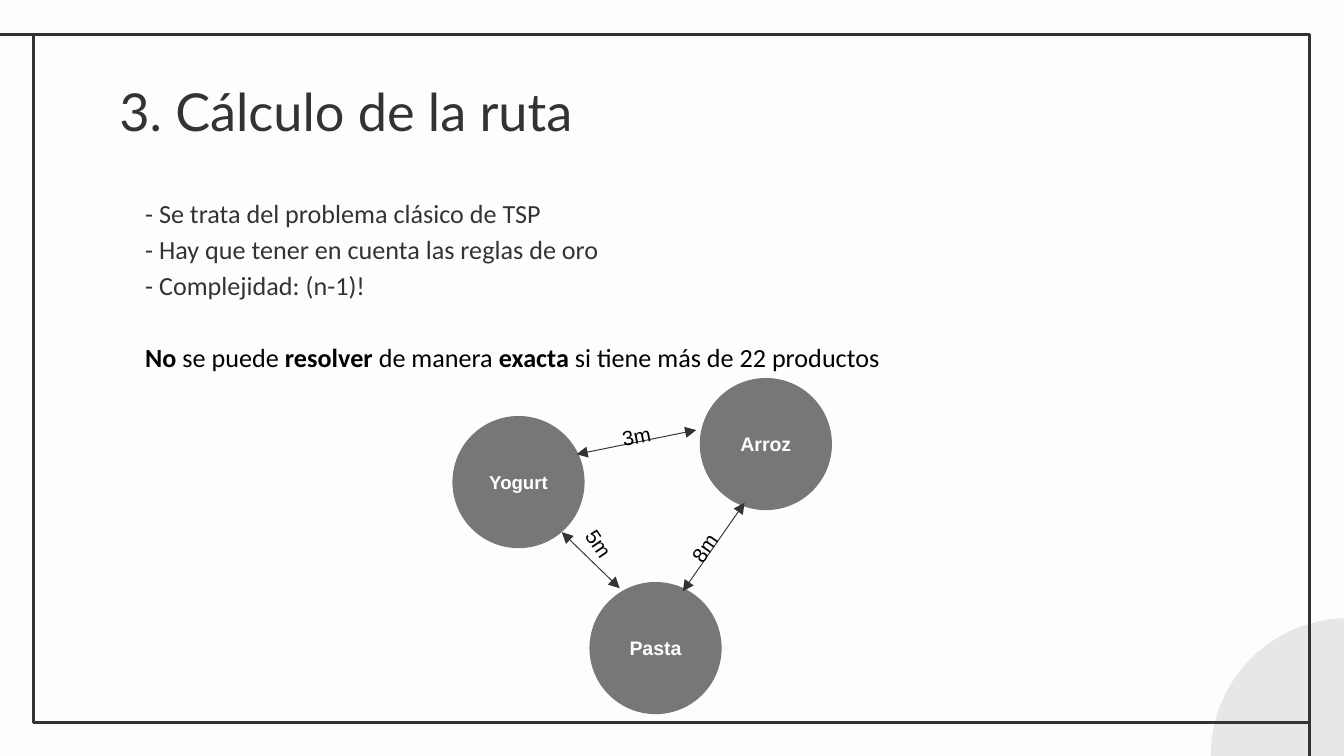
from dataclasses import dataclass

from lxml import etree
from pptx import Presentation
from pptx.dml.color import RGBColor
from pptx.enum import shapes as kinds, text as t
from pptx.oxml import ns
from pptx.util import Pt


@dataclass(frozen=True)
class Theme:
    paper: str = "FDFDFD"
    ink: str = "333333"
    black: str = "000000"
    node: str = "777777"
    corner: str = "E8E7E7"
    title_font: str = "Lato"
    body_font: str = "Calibri"
    graph_font: str = "Arial"
    title_size: float = 28
    body_size: float = 14
    node_size: float = 10.5
    small_node_size: float = 10
    distance_size: float = 11
    frame_width: float = 1.5
    arrow_width: float = 0.5


THEME = Theme()
WIDTH, HEIGHT = 720, 405
NODE_DIAMETER = 70.8


def rgb(value):
    return RGBColor.from_string(value)


def write(paragraph, words, *, font, size, color, bold=False, align=None,
          line=None, before=None, after=None):
    """Add a run to the paragraph and set the paragraph spacing given."""
    run = paragraph.add_run()
    run.text = words
    run.font.name = font
    run.font.size = Pt(size)
    run.font.bold = bold
    run.font.color.rgb = rgb(color)
    if align is not None:
        paragraph.alignment = align
    if line is not None:
        paragraph.line_spacing = line
    if before is not None:
        paragraph.space_before = Pt(before)
    if after is not None:
        paragraph.space_after = Pt(after)


def add_text_frame(slide, left, top, width, height, margin=7.2, rotation=0):
    box = slide.shapes.add_textbox(Pt(left), Pt(top), Pt(width), Pt(height))
    box.rotation = rotation
    frame = box.text_frame
    frame.word_wrap = True
    frame.margin_left = frame.margin_right = Pt(margin)
    frame.margin_top = frame.margin_bottom = Pt(margin)
    return frame


def add_plain_shape(slide, kind, left, top, width, height, fill=None, line=None):
    shape = slide.shapes.add_shape(kind, Pt(left), Pt(top), Pt(width), Pt(height))
    shape.shadow.inherit = False
    if fill:
        shape.fill.solid()
        shape.fill.fore_color.rgb = rgb(fill)
    else:
        shape.fill.background()
    if line:
        shape.line.color.rgb = rgb(line)
        shape.line.width = Pt(THEME.frame_width)
    else:
        shape.line.fill.background()
    return shape


def add_line(slide, start, end, width, arrows=False):
    connector = slide.shapes.add_connector(
        kinds.MSO_CONNECTOR.STRAIGHT, *map(Pt, (*start, *end)))
    connector.line.color.rgb = rgb(THEME.ink)
    connector.line.width = Pt(width)
    if arrows:
        outline = connector.line._get_or_add_ln()
        for tip in ("a:headEnd", "a:tailEnd"):
            etree.SubElement(outline, ns.qn(tip), type="triangle")
    etree.SubElement(connector._element.spPr, ns.qn("a:effectLst"))


def add_frame(slide):
    left, top, right, bottom = 18, 18.3, 701.7, 387
    add_plain_shape(slide, kinds.MSO_SHAPE.OVAL, 648.7, 331.2, 146.9, 146.9,
                    fill=THEME.corner)
    add_plain_shape(slide, kinds.MSO_SHAPE.RECTANGLE, left, top,
                    right - left, bottom - top, line=THEME.ink)
    add_line(slide, (left, top), (0, top), THEME.frame_width)
    add_line(slide, (right, bottom), (right, HEIGHT), THEME.frame_width)


def add_title(slide, words):
    frame = add_text_frame(slide, 56.9, 35.3, 607, 45.4)
    write(frame.paragraphs[0], words, font=THEME.title_font,
          size=THEME.title_size, color=THEME.ink)


def add_body(slide, points, conclusion):
    """Write the points, then the conclusion as (words, bold) pairs one line below."""
    frame = add_text_frame(slide, 56.9, 95.8, 607, 254.9)
    frame.margin_left = Pt(20.9)
    style = dict(font=THEME.body_font, size=THEME.body_size, line=1.15)
    paragraph = frame.paragraphs[0]
    for point in points:
        write(paragraph, point, color=THEME.ink, **style)
        paragraph = frame.add_paragraph()
    for words, bold in conclusion:
        write(paragraph, words, color=THEME.black, bold=bold, before=19.5, **style)


def add_node(slide, name, left, top, size):
    node = add_plain_shape(slide, kinds.MSO_SHAPE.OVAL, left, top,
                           NODE_DIAMETER, NODE_DIAMETER, fill=THEME.node)
    node.text_frame.vertical_anchor = t.MSO_ANCHOR.MIDDLE
    write(node.text_frame.paragraphs[0], name, font=THEME.graph_font, size=size,
          color=THEME.paper, bold=True, align=t.PP_ALIGN.CENTER, before=3, after=3)


def add_distance(slide, words, left, top, width, height, rotation):
    frame = add_text_frame(slide, left, top, width, height, 0, rotation)
    frame.auto_size = t.MSO_AUTO_SIZE.SHAPE_TO_FIT_TEXT
    write(frame.paragraphs[0], words, font=THEME.graph_font,
          size=THEME.distance_size, color=THEME.black,
          align=t.PP_ALIGN.CENTER, before=3, after=3)


def add_route_graph(slide):
    for node in (("Yogurt", 242.4, 222.9, THEME.small_node_size),
                 ("Pasta", 315.8, 311.8, THEME.node_size),
                 ("Arroz", 374.9, 202.5, THEME.node_size)):
        add_node(slide, *node)
    for start, end in (((301, 285.1), (332, 315.2)),
                       ((308.9, 243.4), (373, 230.4)),
                       ((398.9, 269.3), (365.8, 316.8))):
        add_line(slide, start, end, THEME.arrow_width, arrows=True)
    for distance in (("3m", 319, 226.8, 43.2, 10.1, 349),
                     ("8m", 356.4, 287.3, 39.6, 10.8, 304),
                     ("5m", 301, 284.4, 39.6, 13.7, 56)):
        add_distance(slide, *distance)


def main():
    deck = Presentation()
    deck.slide_width, deck.slide_height = Pt(WIDTH), Pt(HEIGHT)
    slide = deck.slides.add_slide(deck.slide_layouts[6])
    slide.background.fill.solid()
    slide.background.fill.fore_color.rgb = rgb(THEME.paper)

    add_frame(slide)
    add_title(slide, "3. Cálculo de la ruta")
    add_body(slide,
             ("- Se trata del problema clásico de TSP",
              "- Hay que tener en cuenta las reglas de oro",
              "- Complejidad: (n-1)!"),
             (("No", True), (" se puede ", False), ("resolver", True),
              (" de manera", False), (" exacta ", True),
              ("si tiene más de 22 productos", False)))
    add_route_graph(slide)
    deck.save("out.pptx")


if __name__ == "__main__":
    main()
